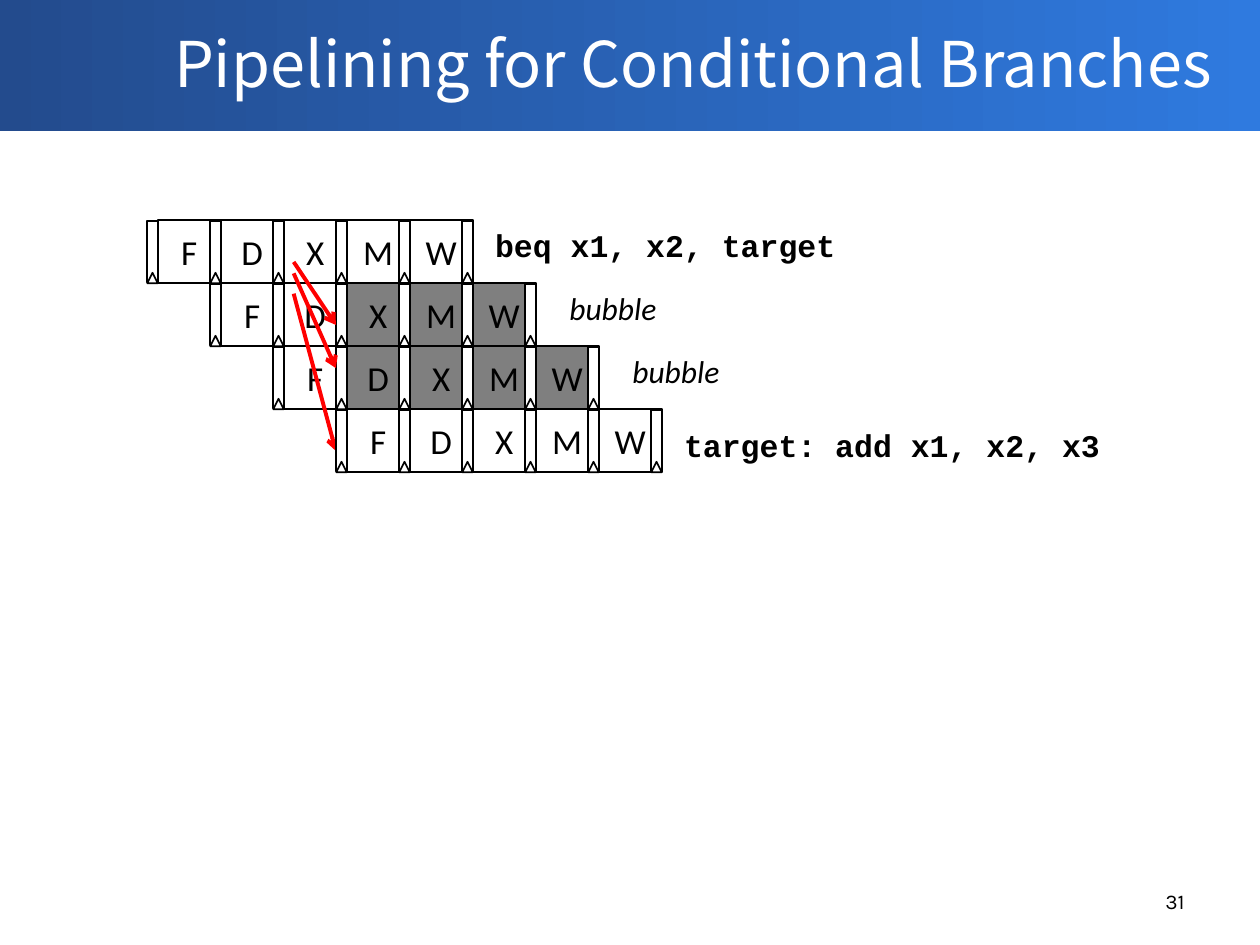
from dataclasses import dataclass

from lxml import etree
from pptx import Presentation
from pptx import util as u
from pptx.dml import color
from pptx.enum import shapes, text
from pptx.oxml import ns


@dataclass(frozen=True)
class Theme:
    ink: str = "000000"
    paper: str = "FFFFFF"
    squashed: str = "7F7F7F"
    redirect: str = "FF0000"
    band_left: str = "234B8D"
    band_right: str = "2F7ADF"
    title_font: str = "Noto Sans CJK SC"
    body_font: str = "Calibri"
    code_font: str = "Courier New"
    number_font: str = "Karla"
    title_size: int = 36
    stage_size: int = 20
    label_size: int = 18
    number_size: int = 12
    outline: float = 1
    arrow: float = 2.25


THEME = Theme()
STAGES = "FDXMW"
PITCH = 1.27
GRID_LEFT, GRID_TOP = 3.18, 4.44
LATCH_WIDTH, LATCH_HEIGHT = 0.21, 1.24

# Each row: first squashed stage, label, label left, label top, is code


def rgb(value):
    return color.RGBColor.from_string(value)


def box(left, top, width, height):
    return [u.Cm(value) for value in (left, top, width, height)]


def style_text(frame, wording, font, size, ink, align, bold=False, italic=False):
    frame.text = wording
    paragraph = frame.paragraphs[0]
    paragraph.alignment = align
    for run in paragraph.runs:
        run.font.name = font
        run.font.size = u.Pt(size)
        run.font.color.rgb = rgb(ink)
        run.font.bold = bold
        run.font.italic = italic


def add_outlined(slide, kind, left, top, width, height, fill=THEME.paper):
    outlined = slide.shapes.add_shape(kind, *box(left, top, width, height))
    outlined.shadow.inherit = False
    outlined.fill.solid()
    outlined.fill.fore_color.rgb = rgb(fill)
    outlined.line.color.rgb = rgb(THEME.ink)
    outlined.line.width = u.Pt(THEME.outline)
    return outlined


def add_stage(slide, letter, left, top, fill):
    stage = add_outlined(slide, shapes.MSO_SHAPE.RECTANGLE, left, top, PITCH, PITCH, fill)
    frame = stage.text_frame
    frame.margin_left = frame.margin_right = frame.margin_top = frame.margin_bottom = 0
    frame.vertical_anchor = text.MSO_ANCHOR.MIDDLE
    style_text(frame, letter, THEME.body_font, THEME.stage_size, THEME.ink,
               text.PP_ALIGN.CENTER)


def add_latch(slide, right, top):
    latch = add_outlined(slide, shapes.MSO_SHAPE.RECTANGLE,
                         right - (LATCH_WIDTH + LATCH_HEIGHT) / 2,
                         top + (PITCH - LATCH_WIDTH) / 2, LATCH_HEIGHT, LATCH_WIDTH)
    latch.rotation = 270
    add_outlined(slide, shapes.MSO_SHAPE.ISOSCELES_TRIANGLE, right - LATCH_WIDTH,
                 top + PITCH - LATCH_WIDTH, LATCH_WIDTH, LATCH_WIDTH)


def add_instruction(slide, row, first_squashed):
    left, top = GRID_LEFT + row * PITCH, GRID_TOP + row * PITCH
    add_latch(slide, left, top)
    for index, letter in enumerate(STAGES):
        fill = THEME.squashed if index >= first_squashed else THEME.paper
        stage_left = left + index * PITCH
        add_stage(slide, letter, stage_left, top, fill)
        add_latch(slide, stage_left + PITCH, top)


def add_label(slide, wording, left, top, width, is_code):
    label = slide.shapes.add_textbox(*box(left, top, width, 1.02))
    label.text_frame.word_wrap = False
    style_text(label.text_frame, wording,
               THEME.code_font if is_code else THEME.body_font,
               THEME.label_size, THEME.ink, text.PP_ALIGN.LEFT,
               bold=is_code, italic=not is_code)


def add_redirect(slide, start_y, end_y):
    redirect = slide.shapes.add_connector(
        shapes.MSO_CONNECTOR.STRAIGHT, u.Cm(5.92), u.Cm(start_y), u.Cm(6.77), u.Cm(end_y))
    redirect.line.color.rgb = rgb(THEME.redirect)
    redirect.line.width = u.Pt(THEME.arrow)
    etree.SubElement(redirect.line._get_or_add_ln(), ns.qn("a:tailEnd"), type="arrow")
    etree.SubElement(redirect._element.spPr, ns.qn("a:effectLst"))


def add_heading(slide, wording):
    band = slide.shapes.add_shape(shapes.MSO_SHAPE.RECTANGLE, *box(0, -0.08, 25.4, 2.72))
    band.shadow.inherit = False
    band.line.fill.background()
    band.fill.gradient()
    band.fill.gradient_angle = 0
    ends = (THEME.band_left, THEME.band_right)
    for position, (stop, shade) in enumerate(zip(band.fill.gradient_stops, ends)):
        stop.position = position
        stop.color.rgb = rgb(shade)
    title = slide.shapes.title
    band._element.addnext(title._element)
    title.left, title.top, title.width, title.height = box(2.54, 0, 22.86, 2.51)
    title.text_frame.auto_size = text.MSO_AUTO_SIZE.NONE
    title.text_frame.vertical_anchor = text.MSO_ANCHOR.MIDDLE
    style_text(title.text_frame, wording, THEME.title_font, THEME.title_size,
               THEME.paper, text.PP_ALIGN.CENTER)


def add_page_number(slide, number):
    page = slide.shapes.add_textbox(*box(18.21, 17.65, 5.92, 1.02))
    page.text_frame.word_wrap = True
    page.text_frame.vertical_anchor = text.MSO_ANCHOR.MIDDLE
    style_text(page.text_frame, number, THEME.number_font, THEME.number_size,
               THEME.ink, text.PP_ALIGN.RIGHT)


def main():
    deck = Presentation()
    deck.slide_width, deck.slide_height = u.Cm(25.4), u.Cm(19.05)
    slide = deck.slides.add_slide(deck.slide_layouts[5])
    add_heading(slide, "Pipelining for Conditional Branches")
    add_page_number(slide, "31")

    unsquashed = len(STAGES)
    for row, first_squashed in enumerate((unsquashed, 2, 1)):
        add_instruction(slide, row, first_squashed)
    for start_y, end_y in ((5.51, 7.42), (5.28, 6.55), (5.92, 9.09)):
        add_redirect(slide, start_y, end_y)
    add_instruction(slide, 3, unsquashed)

    add_label(slide, "beq x1, x2, target", 9.73, 4.44, 7.44, True)
    add_label(slide, "bubble", 11.23, 5.71, 2.44, False)
    add_label(slide, "bubble", 12.5, 6.98, 2.44, False)
    add_label(slide, "target: add x1, x2, x3", 13.54, 8.46, 8.97, True)
    deck.save("out.pptx")


if __name__ == "__main__":
    main()
